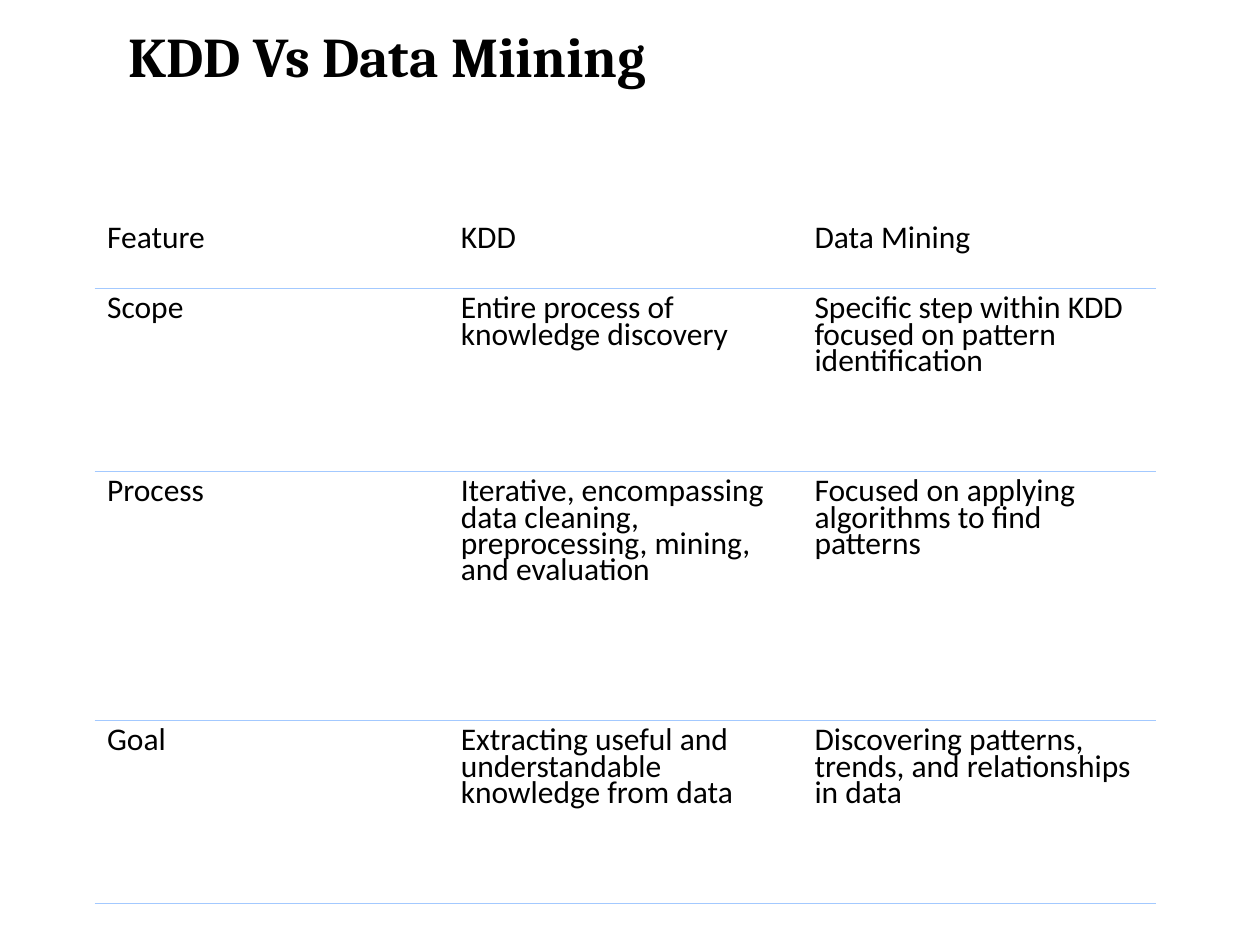
from typing import NamedTuple

from lxml.etree import SubElement
from pptx import Presentation
from pptx.dml.color import RGBColor
from pptx.enum.text import MSO_ANCHOR as Anchor, MSO_AUTO_SIZE as AutoSize, PP_ALIGN as Align
from pptx.oxml.ns import qn
from pptx.util import Cm, Pt

COLORS = {"text": "000000", "rule": "A3C9FF"}
RULE_WIDTH = Pt(0.48)
COLUMN_WIDTH = Cm(7.13)
PADDING = Cm(0.25)


class Row(NamedTuple):
    cells: tuple[str, str, str]
    height: float
    top_padding: float = 0.25
    borders: tuple[str, ...] = ("T", "B")


ROWS = [
    Row(("Feature", "KDD", "Data Mining"), 1.3, 0.13, ("B",)),
    Row(("Scope", "Entire process of knowledge discovery",
         "Specific step within KDD focused on pattern identification"), 3.69),
    Row(("Process",
         "Iterative, encompassing data cleaning, preprocessing, mining, and evaluation",
         "Focused on applying algorithms to find patterns"), 5.02),
    Row(("Goal", "Extracting useful and understandable knowledge from data",
         "Discovering patterns, trends, and relationships in data"), 3.69),
]


def write(tf, text: str, *, font: str, size: float, bold: bool = False, spacing=None) -> None:
    p = tf.paragraphs[0]
    p.alignment = Align.LEFT
    if spacing is not None:
        p.line_spacing = spacing
    r = p.add_run()
    r.text = text
    r.font.name, r.font.size, r.font.bold = font, Pt(size), bold
    r.font.color.rgb = RGBColor.from_string(COLORS["text"])


def set_borders(cell, visible: tuple[str, ...]) -> None:
    """Rule the visible sides and clear the others; call before setting the fill."""
    tc_pr = cell._tc.get_or_add_tcPr()
    for side in "LRTB":
        ln = SubElement(tc_pr, qn(f"a:ln{side}"), w=str(int(RULE_WIDTH)))
        if side in visible:
            fill = SubElement(ln, qn("a:solidFill"))
            SubElement(fill, qn("a:srgbClr"), val=COLORS["rule"])
        else:
            SubElement(ln, qn("a:noFill"))


def add_title(s, text: str) -> None:
    sp = s.shapes.title
    sp.left, sp.top, sp.width, sp.height = Cm(2.59), Cm(0.43), Cm(20.22), Cm(1.37)
    tf = sp.text_frame
    tf.margin_left = tf.margin_right = tf.margin_top = tf.margin_bottom = 0
    tf.vertical_anchor = Anchor.TOP
    tf.auto_size = AutoSize.SHAPE_TO_FIT_TEXT
    write(tf, text, font="Cambria", size=32, bold=True)


def add_comparison(s, rows: list[Row]) -> None:
    columns = len(rows[0].cells)
    height = Cm(sum(row.height for row in rows))
    table = s.shapes.add_table(len(rows), columns, Cm(1.91), Cm(4.52),
                               COLUMN_WIDTH * columns, height).table
    table.first_row = table.horz_banding = False
    for column in table.columns:
        column.width = COLUMN_WIDTH
    for i, row in enumerate(rows):
        table.rows[i].height = Cm(row.height)
        for cell, text in zip(table.rows[i].cells, row.cells):
            cell.margin_left = cell.margin_right = cell.margin_bottom = PADDING
            cell.margin_top = Cm(row.top_padding)
            set_borders(cell, row.borders)
            cell.fill.background()
            write(cell.text_frame, text, font="Calibri", size=18, spacing=Pt(15))


def main() -> None:
    prs = Presentation()
    prs.slide_width, prs.slide_height = Cm(25.4), Cm(19.05)
    s = prs.slides.add_slide(prs.slide_layouts[5])
    add_title(s, "KDD Vs Data Miining")
    add_comparison(s, ROWS)
    prs.save("out.pptx")


if __name__ == "__main__":
    main()
